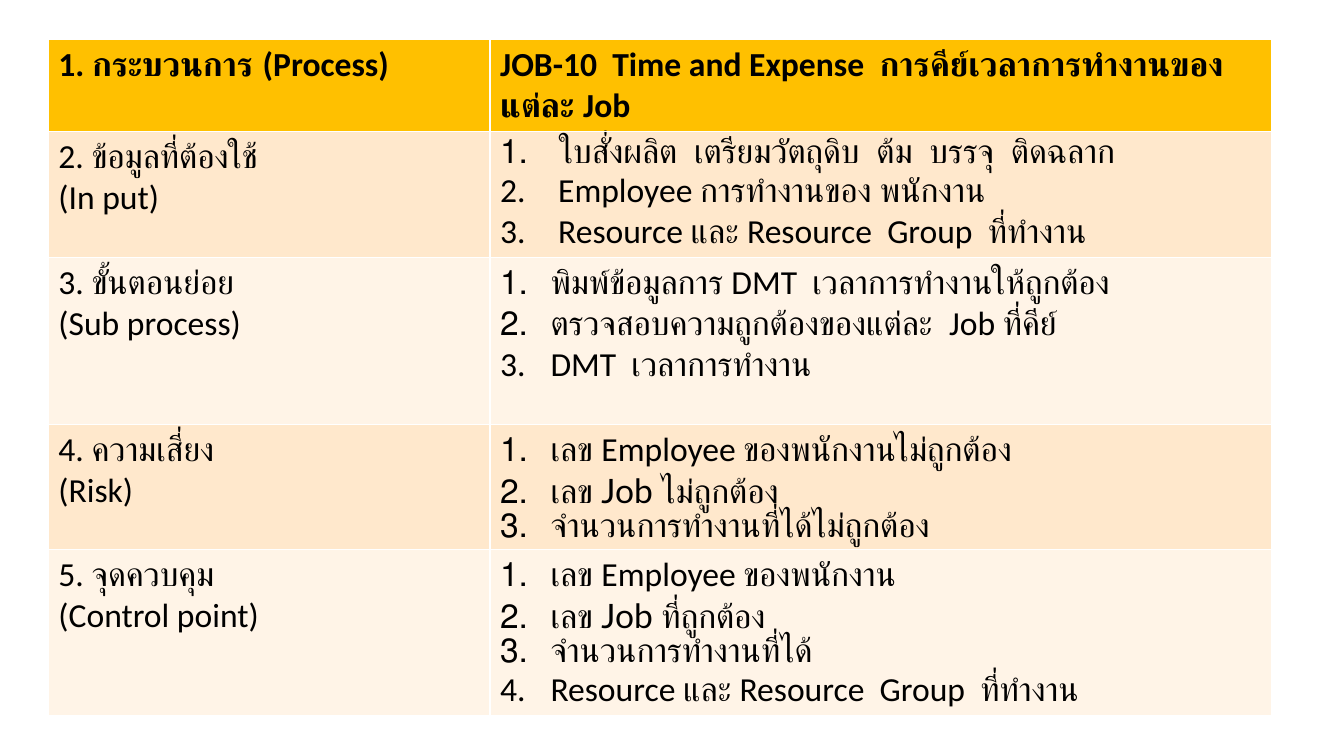
from dataclasses import dataclass

from lxml.etree import SubElement
from pptx import Presentation
from pptx.dml.color import RGBColor
from pptx.oxml.ns import qn
from pptx.util import Cm, Pt


@dataclass(frozen=True)
class Theme:
    text: RGBColor = RGBColor(0x00, 0x00, 0x00)
    header: RGBColor = RGBColor(0xFF, 0xC0, 0x00)
    dark_band: RGBColor = RGBColor(0xFF, 0xE8, 0xCC)
    light_band: RGBColor = RGBColor(0xFF, 0xF4, 0xE7)
    size: Pt = Pt(24)
    main_font: str = "Calibri"
    second_font: str = "Lato"


theme = Theme()


def add_number(paragraph):
    """Number the paragraph automatically, with a hanging indent."""
    properties = paragraph._p.get_or_add_pPr()
    properties.set("marL", str(Cm(1.27)))
    properties.set("indent", str(-Cm(1.27)))
    SubElement(properties, qn("a:buAutoNum"), type="arabicPeriod")


def fill_cell(cell, lines, color, bold=False, numbered=False):
    """Write lines, each a list of (text, font name) runs, into a cell."""
    cell.fill.solid()
    cell.fill.fore_color.rgb = color
    frame = cell.text_frame
    for index, line in enumerate(lines):
        paragraph = frame.add_paragraph() if index else frame.paragraphs[0]
        if numbered:
            add_number(paragraph)
        paragraph.font.size = theme.size
        paragraph.font.bold = bold
        paragraph.font.color.rgb = theme.text
        if len(line) == 1:
            paragraph.font.name = line[0][1]
        for text, font_name in line:
            run = paragraph.add_run()
            run.text = text
            if len(line) > 1:
                run.font.name = font_name


# Content: one label and one list for each row below the header
main, second = theme.main_font, theme.second_font
header = ["1. กระบวนการ (Process)",
          "JOB-10  Time and Expense  การคีย์เวลาการทำงานของแต่ละ Job"]
rows = [
    (["2. ข้อมูลที่ต้องใช้", "(In put)"],
     [[(" ใบสั่งผลิต  เตรียมวัตถุดิบ  ต้ม  บรรจุ  ติดฉลาก", main)],
      [(" Employee การทำงานของ พนักงาน", main)],
      [(" Resource และ Resource  Group  ที่ทำงาน", main)]]),
    (["3. ขั้นตอนย่อย", "(Sub process)"],
     [[("พิมพ์ข้อมูลการ DMT  เวลาการทำงานให้ถูกต้อง", main)],
      [("ตรวจสอบความถูกต้องของแต่ละ  Job ที่คีย์", main)],
      [("DMT  เวลาการทำงาน", main)]]),
    (["4. ความเสี่ยง", "(Risk)"],
     [[("เลข ", second), ("Employee ของพนักงานไม่ถูกต้อง", main)],
      [("เลข Job ไม่ถูกต้อง", second)],
      [("จำนวนการทำงานที่ได้ไม่ถูกต้อง", second)]]),
    (["5. จุดควบคุม", "(Control point)"],
     [[("เลข ", second), ("Employee ของพนักงาน", main)],
      [("เลข Job ที่ถูกต้อง", second)],
      [("จำนวนการทำงานที่ได้", second)],
      [("Resource และ Resource  Group  ที่ทำงาน", main)]]),
]
column_widths = [11.13, 19.69]
row_heights = [2.28, 3.15, 4.2, 3.15, 4.2]

# Slide
presentation = Presentation()
presentation.slide_width = Cm(33.87)
presentation.slide_height = Cm(19.05)
slide = presentation.slides.add_slide(presentation.slide_layouts[6])

# Table frame
table = slide.shapes.add_table(
    len(row_heights), len(column_widths), Cm(1.22), Cm(1),
    Cm(sum(column_widths)), Cm(sum(row_heights))).table
for column, width in zip(table.columns, column_widths):
    column.width = Cm(width)
for row, height in zip(table.rows, row_heights):
    row.height = Cm(height)

# Header row
for column_index, title in enumerate(header):
    fill_cell(table.cell(0, column_index), [[(title, main)]], theme.header, bold=True)

# Banded rows
for row_index, (label, items) in enumerate(rows, start=1):
    band = theme.dark_band if row_index % 2 else theme.light_band
    fill_cell(table.cell(row_index, 0), [[(text, main)] for text in label], band)
    fill_cell(table.cell(row_index, 1), items, band, numbered=True)

presentation.save("out.pptx")
